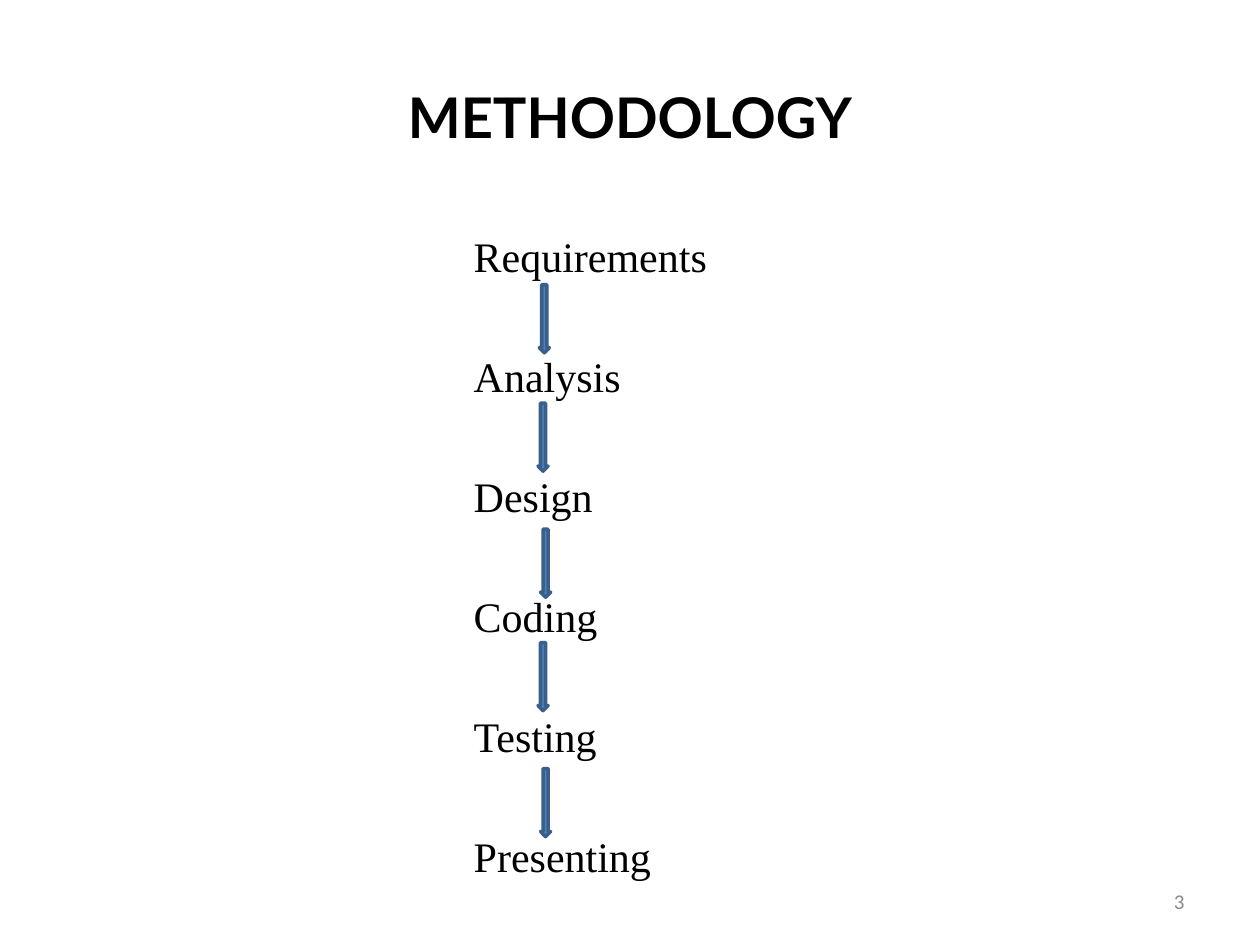
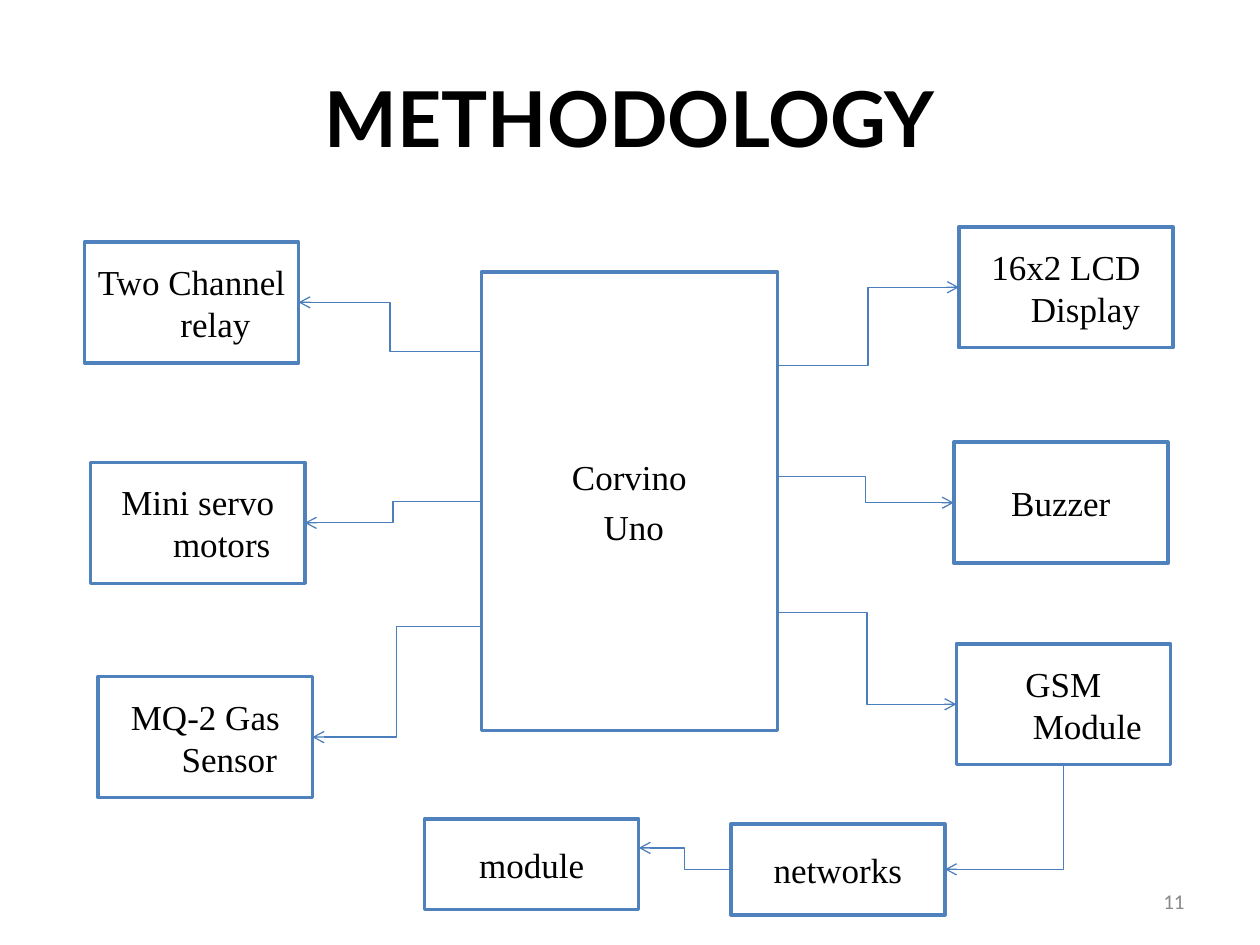
import dataclasses

import lxml.etree
import pptx
import pptx.dml.color
import pptx.enum.shapes
import pptx.enum.text
import pptx.oxml.ns
import pptx.util

COLORS = {
    "ink": "000000",
    "paper": "FFFFFF",
    "accent": "4F81BD",
    "arrow_edge": "3A5F8C",
    "link": "4B7EBC",
    "number": "898989",
}
SERIF = "Times New Roman"
CELL = 0.1  # grid column and row, in inches
ALIGN = pptx.enum.text.PP_ALIGN
MIDDLE = pptx.enum.text.MSO_ANCHOR.MIDDLE
SHAPES = pptx.enum.shapes.MSO_SHAPE


@dataclasses.dataclass
class Box:
    """An area measured in grid columns and rows."""
    left: float
    top: float
    width: float
    height: float

    def within(self, outer):
        return Box(outer.left + self.left, outer.top + self.top,
                   self.width, self.height)

    def lengths(self):
        return [grid(n) for n in dataclasses.astuple(self)]

    @property
    def right(self):
        return self.left + self.width

    @property
    def bottom(self):
        return self.top + self.height

    @property
    def center(self):
        return self.left + self.width / 2

    @property
    def middle(self):
        return self.top + self.height / 2


TITLE_AREA = Box(5, 3, 90, 12.5)
BODY_AREA = Box(5, 17.5, 90, 49.5)
NUMBER_AREA = Box(71.7, 69.5, 23.3, 4)

# Steps and arrow positions (column, row) inside the body area
STEPS = ["Requirements", "Analysis", "Design", "Coding", "Testing", "Presenting"]
STEP_ARROWS = [(37.8, 5.1), (37.7, 14.5), (37.9, 24.5), (37.7, 33.5), (37.9, 43.5)]

# Blocks inside the body area; the relay fills the body placeholder
PART_SIZE = (17, 9.6)
NETWORK_SIZE = (17, 7.2)
BLOCKS = {
    "relay": (["Two Channel relay"], Box(1.7, 1.7, *PART_SIZE)),
    "servo": (["Mini servo motors"], Box(2.2, 19.2, *PART_SIZE)),
    "gas": (["MQ-2 Gas Sensor"], Box(2.8, 36.2, *PART_SIZE)),
    "controller": (["Corvino", " Uno"], Box(33.2, 4.1, 23.5, 36.4)),
    "lcd": (["16x2 LCD Display "], Box(71.1, 0.5, *PART_SIZE)),
    "buzzer": (["Buzzer"], Box(70.7, 17.6, *PART_SIZE)),
    "gsm": (["GSM Module"], Box(70.9, 33.6, *PART_SIZE)),
    "networks": (["networks"], Box(53, 47.9, *NETWORK_SIZE)),
    "module": (["module"], Box(28.7, 47.5, *NETWORK_SIZE)),
}
# Rows of the body area where links leave the controller
LEFT_LINKS = {"relay": 10.4, "servo": 22.3, "gas": 32.2}
RIGHT_LINKS = {"lcd": 11.5, "buzzer": 20.3, "gsm": 31.1}
MODULE_LINK_ROW = 49.8


def grid(cells):
    return pptx.util.Inches(cells * CELL)


def rgb(name):
    return pptx.dml.color.RGBColor.from_string(COLORS[name])


def move(shape, box):
    for name, value in zip(("left", "top", "width", "height"), box.lengths()):
        setattr(shape, name, value)


def write(shape, lines, font, frame=None, paragraph=None, indent=None, color="ink"):
    """Fill a shape with unbulleted paragraphs in one format."""
    text = shape.text_frame
    settings = {"word_wrap": True,
                "auto_size": pptx.enum.text.MSO_AUTO_SIZE.NONE, **(frame or {})}
    for name, value in settings.items():
        setattr(text, name, value)
    for i, line in enumerate(lines):
        para = text.paragraphs[0] if i == 0 else text.add_paragraph()
        for name, value in (paragraph or {}).items():
            setattr(para, name, value)
        if indent:
            props = para._p.get_or_add_pPr()
            for name, cells in zip(("marL", "indent"), indent):
                props.set(name, str(int(grid(cells))))
            lxml.etree.SubElement(props, pptx.oxml.ns.qn("a:buNone"))
        run = para.add_run()
        run.text = line
        for name, value in font.items():
            setattr(run.font, name, value)
        run.font.color.rgb = rgb(color)


def paint(shape, fill, line):
    shape.fill.solid()
    shape.fill.fore_color.rgb = rgb(fill)
    shape.line.color.rgb = rgb(line)
    shape.line.width = pptx.util.Pt(2)


def add_page(deck, title_size, number):
    """Add a slide with the shared title and page number."""
    slide = deck.slides.add_slide(deck.slide_layouts[1])
    title = slide.shapes.title
    move(title, TITLE_AREA)
    write(title, ["METHODOLOGY"],
          {"name": "Lato", "size": pptx.util.Pt(title_size), "bold": True},
          {"vertical_anchor": MIDDLE}, {"alignment": ALIGN.CENTER})
    page_number = slide.shapes.add_textbox(*NUMBER_AREA.lengths())
    write(page_number, [str(number)],
          {"name": "Calibri", "size": pptx.util.Pt(12)},
          {"vertical_anchor": MIDDLE}, {"alignment": ALIGN.RIGHT}, color="number")
    return slide


def draw_steps(slide, area):
    """List the steps with a down arrow between each pair."""
    steps = slide.placeholders[1]
    move(steps, area)
    write(steps, STEPS, {"name": SERIF, "size": pptx.util.Pt(24)},
          {"margin_top": grid(0.8)}, {"space_before": pptx.util.Pt(39.7)},
          indent=(31.6, 0))
    steps.text_frame.paragraphs[0].space_before = pptx.util.Pt(0)
    for column, row in STEP_ARROWS:
        spot = Box(column, row, 0.8, 5.4).within(area)
        arrow = slide.shapes.add_shape(SHAPES.DOWN_ARROW, *spot.lengths())
        arrow.shadow.inherit = False
        paint(arrow, "accent", "arrow_edge")


def draw_block(slide, name, lines, box):
    if name == "relay":
        block = slide.placeholders[1]
        move(block, box)
    else:
        block = slide.shapes.add_shape(SHAPES.RECTANGLE, *box.lengths())
        block.shadow.inherit = False
    paint(block, "paper", "accent")
    write(block, lines, {"name": SERIF, "size": pptx.util.Pt(20)},
          {"vertical_anchor": MIDDLE},
          {"alignment": ALIGN.CENTER, "space_before": pptx.util.Pt(5)},
          indent=(3.8, -3.8))


def draw_link(slide, start, end):
    """Draw an elbow arrow between two grid points."""
    link = slide.shapes.add_connector(pptx.enum.shapes.MSO_CONNECTOR.ELBOW,
                                      *(grid(n) for n in (*start, *end)))
    link.line.color.rgb = rgb("link")
    link.line.width = pptx.util.Pt(0.75)
    qn = pptx.oxml.ns.qn
    lxml.etree.SubElement(link.line._get_or_add_ln(), qn("a:tailEnd"), type="arrow")
    lxml.etree.SubElement(link._element.spPr, qn("a:effectLst"))
    return link


def draw_corner(slide, start, end):
    """Draw an arrow that runs down and then left, with a single bend."""
    across, down = start[0] - end[0], end[1] - start[1]
    center, middle = (start[0] + end[0]) / 2, (start[1] + end[1]) / 2
    # The frame is laid on its side, then turned a quarter
    link = draw_link(slide, (center - down / 2, middle - across / 2),
                     (center + down / 2, middle + across / 2))
    props = link._element.spPr
    props.find(pptx.oxml.ns.qn("a:xfrm")).set("rot", "5400000")
    props.find(pptx.oxml.ns.qn("a:prstGeom")).set("prst", "bentConnector2")


def draw_diagram(slide, area):
    """Place the blocks around the controller and link them."""
    boxes = {}
    for name, (lines, box) in BLOCKS.items():
        boxes[name] = box.within(area)
        draw_block(slide, name, lines, boxes[name])

    # Controller to its parts on either side
    controller = boxes["controller"]
    for name, row in LEFT_LINKS.items():
        draw_link(slide, (controller.left, area.top + row),
                  (boxes[name].right, boxes[name].middle))
    for name, row in RIGHT_LINKS.items():
        draw_link(slide, (controller.right, area.top + row),
                  (boxes[name].left, boxes[name].middle))

    # GSM to networks to module
    gsm, networks, module = (boxes[n] for n in ("gsm", "networks", "module"))
    draw_corner(slide, (gsm.center, gsm.bottom), (networks.right, networks.middle))
    draw_link(slide, (networks.left, networks.middle),
              (module.right, area.top + MODULE_LINK_ROW))


def main():
    deck = pptx.Presentation()
    deck.slide_width, deck.slide_height = grid(100), grid(75)
    draw_steps(add_page(deck, 32, 3), BODY_AREA)
    draw_diagram(add_page(deck, 44, 11), BODY_AREA)
    deck.save("out.pptx")


if __name__ == "__main__":
    main()
